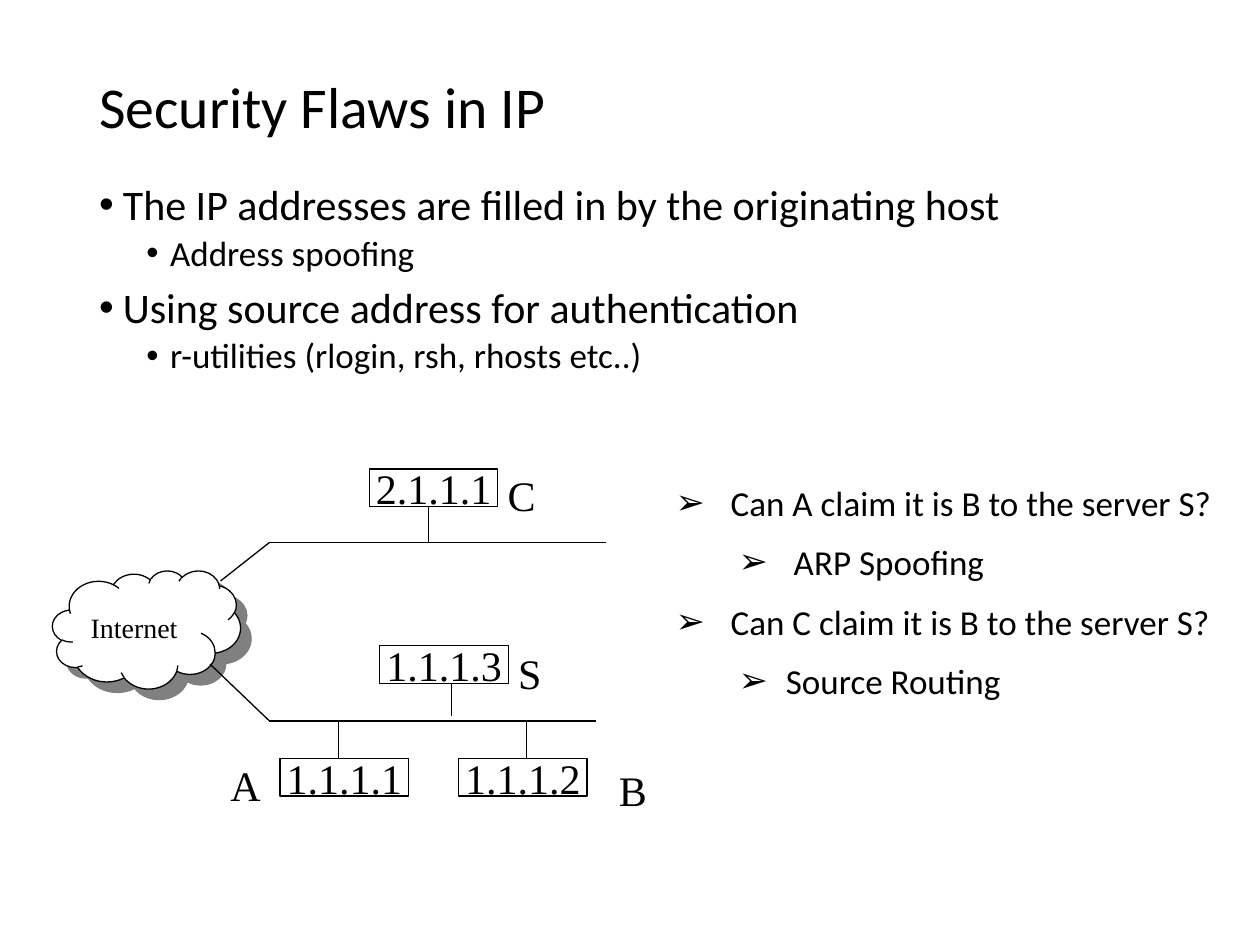
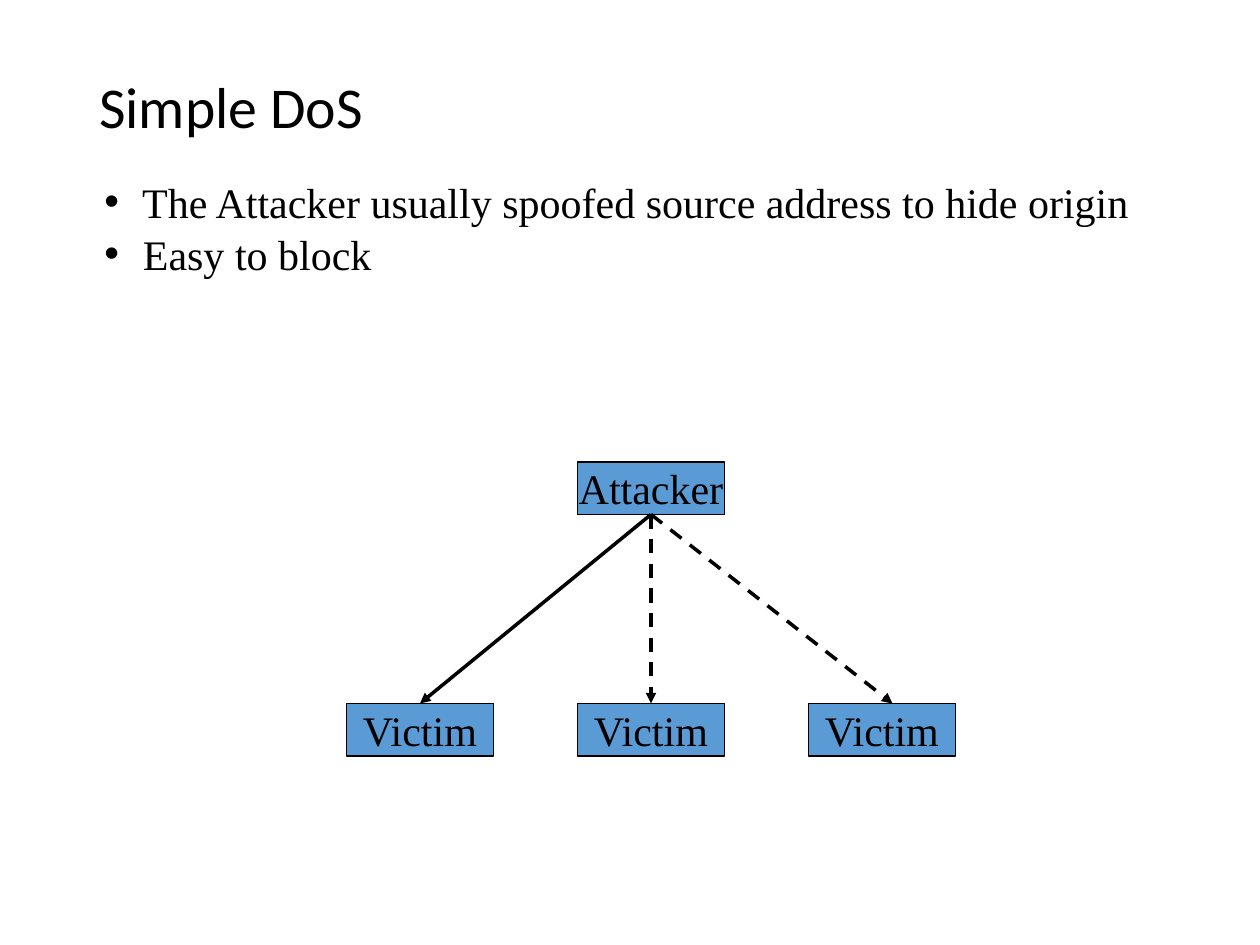
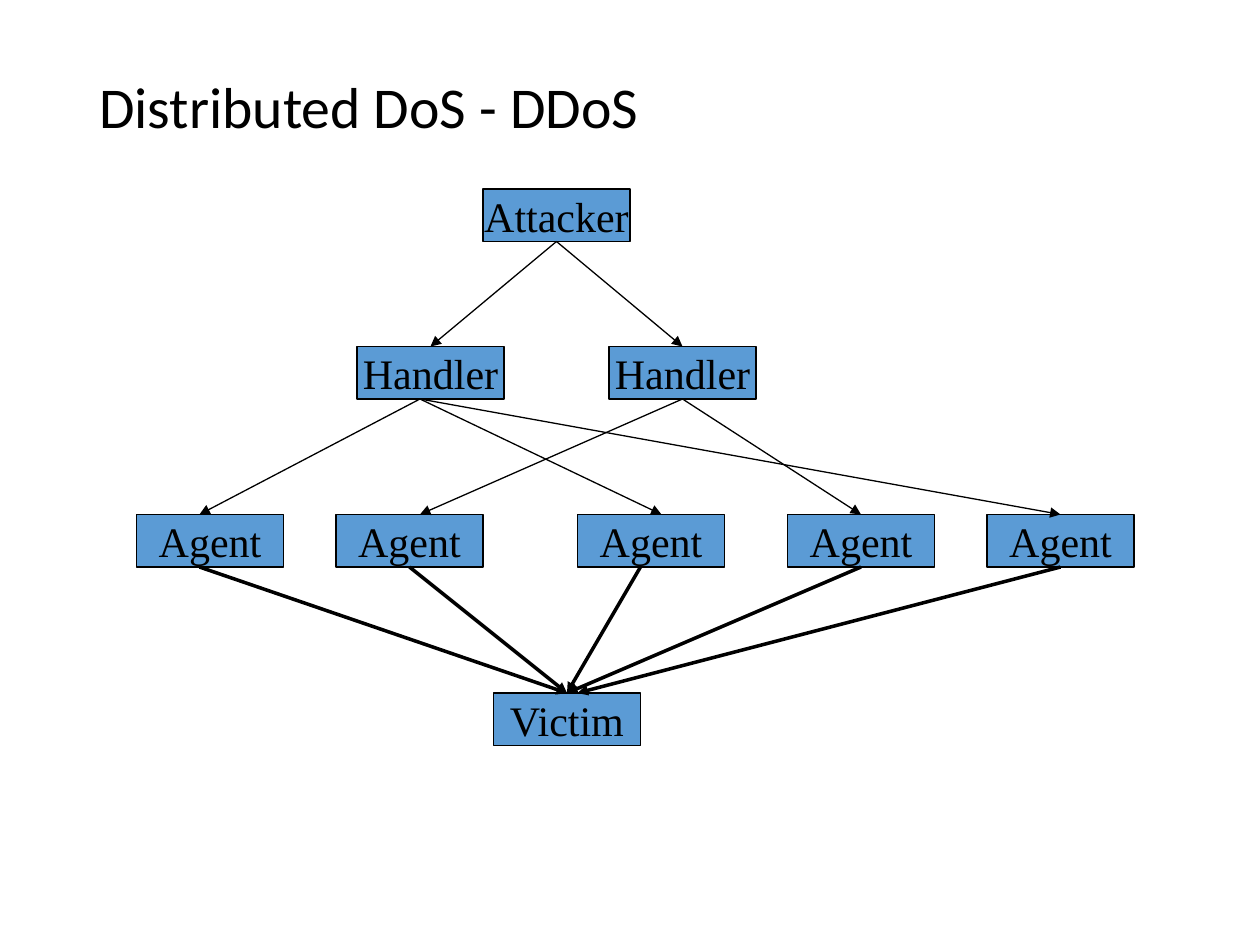
from lxml import etree
from pptx import Presentation
from pptx.dml.color import RGBColor
from pptx.enum.dml import MSO_LINE
from pptx.enum.shapes import MSO_CONNECTOR, MSO_SHAPE
from pptx.enum.text import MSO_ANCHOR, MSO_AUTO_SIZE, PP_ALIGN
from pptx.oxml.ns import qn
from pptx.util import Pt

BLACK = RGBColor(0x00, 0x00, 0x00)
WHITE = RGBColor(0xFF, 0xFF, 0xFF)
BLUE = RGBColor(0x5B, 0x9B, 0xD5)
SHADOW_GREY = RGBColor(0x80, 0x80, 0x80)
SANS, SERIF = "Calibri", "Times New Roman"
DASH = MSO_LINE.DASH
STRAIGHT = MSO_CONNECTOR.STRAIGHT
RECTANGLE, CLOUD = MSO_SHAPE.RECTANGLE, MSO_SHAPE.CLOUD
TOP, MIDDLE = MSO_ANCHOR.TOP, MSO_ANCHOR.MIDDLE
LEFT, CENTER = PP_ALIGN.LEFT, PP_ALIGN.CENTER
FIXED = MSO_AUTO_SIZE.NONE
TITLE_CONTENT, TITLE_ONLY = 1, 5

TITLE_BOX = (49.5, 29, 621, 67)
THIN, THICK = 0.75, 2
NODE_WIDTH, NODE_HEIGHT = 84, 30
HOST_WIDTH, HOST_HEIGHT = 73.5, 21.5

FLAWS = [
    (0, "The IP addresses are filled in by the originating host"),
    (1, "Address spoofing"),
    (0, "Using source address for authentication"),
    (1, "r-utilities (rlogin, rsh, rhosts etc..)"),
]
QUESTIONS = [
    (0, " Can A claim it is B to the server S?"),
    (1, " ARP Spoofing"),
    (0, " Can C claim it is B to the server S?"),
    (1, "Source Routing"),
]
DOS_NOTES = [
    (0, " The Attacker usually spoofed source address to hide origin"),
    (0, " Easy to block"),
]
FLAW_STYLE = {"bullet": "•", "indents": (13.5, 40.5), "hanging": 13.5, "spacing": 0.9,
              "before": (7.5, 3.75), "sizes": (24, 20), "font": SANS}
QUESTION_STYLE = {"bullet": "➢", "indents": (27, 63), "hanging": 27, "spacing": 1.0,
                  "before": (10, 10), "sizes": (20, 20), "font": SANS}
NOTE_STYLE = {"bullet": "•", "indents": (16,), "hanging": 16, "spacing": 1.0,
              "before": (1,), "sizes": (24,), "font": SERIF}

HOSTS = [
    ("2.1.1.1", 181, 3, "C", 253, 0),
    ("1.1.1.3", 187, 104, "S", 259, 101.5),
    ("1.1.1.1", 130, 168.5, "A", 94.5, 165.5),
    ("1.1.1.2", 232, 168.5, "B", 316.5, 168.5),
]
CABLES = [
    (124, 45, 316.5, 45), (124, 147, 310.5, 147),
    (124, 45, 96, 67), (90, 114.5, 124, 147),
    (215, 24, 215, 45), (228, 126, 228, 144),
    (163.5, 147, 163.5, 168.5), (271, 147, 271, 168.5),
]

DOS_TIERS = [(0, "Attacker", [132]), (138, "Victim", [0, 132, 264])]
DOS_LINKS = [(0, 174, 42, THICK, None), (0, 174, 174, THICK, DASH), (0, 174, 312, THICK, DASH)]
DDOS_TIERS = [
    (0, "Attacker", [198]),
    (90, "Handler", [126, 270]),
    (186, "Agent", [0, 114, 252, 372, 486]),
    (288, "Victim", [204]),
]
DDOS_LINKS = [
    (tier, start, end, weight, None)
    for tier, weight, pairs in [
        (0, THIN, [(240, 168), (240, 312)]),
        (1, THIN, [(162, 36), (162, 300), (162, 528), (312, 162), (312, 414)]),
        (2, THICK, [(36, 246), (156, 246), (288, 246), (414, 246), (528, 252)]),
    ]
    for start, end in pairs
]


def apply(target, values):
    """Set attributes of a target from a dict."""
    for name, value in values.items():
        setattr(target, name, value)


def set_font(font, name, size):
    """Give a font its face, size and black colour."""
    apply(font, {"name": name, "size": Pt(size)})
    font.color.rgb = BLACK


def place(shape, box):
    """Move a shape to a box given in points."""
    apply(shape, dict(zip(("left", "top", "width", "height"), map(Pt, box))))


def write(shape, text, size, wrap=False, align=LEFT, anchor=MIDDLE):
    """Write one serif paragraph into a shape."""
    frame = shape.text_frame
    apply(frame, {"word_wrap": wrap, "vertical_anchor": anchor})
    para = frame.paragraphs[0]
    apply(para, {"text": text, "alignment": align})
    set_font(para.font, SERIF, size)


def add_outlined(shapes, kind, box, fill):
    """Add a filled preset shape with a thin black outline."""
    shape = shapes.add_shape(kind, *map(Pt, box))
    shape.shadow.inherit = False
    shape.fill.solid()
    shape.fill.fore_color.rgb = fill
    shape.line.color.rgb = BLACK
    shape.line.width = Pt(THIN)
    return shape


def add_line(shapes, ends, weight=THIN, dash=None, arrow=False):
    """Draw a black straight line, dashed or with an arrowhead if asked."""
    line = shapes.add_connector(STRAIGHT, *map(Pt, ends))
    line.line.color.rgb = BLACK
    apply(line.line, {"width": Pt(weight), "dash_style": dash})
    properties = line._element.spPr
    if arrow:
        etree.SubElement(properties.find(qn("a:ln")), qn("a:tailEnd"), type="triangle")
    etree.SubElement(properties, qn("a:effectLst"))


def fill_list(frame, items, style):
    """Fill a text frame with a bulleted list of levels and texts."""
    apply(frame, {"word_wrap": True, "auto_size": FIXED, "vertical_anchor": TOP})
    for index, (level, text) in enumerate(items):
        para = frame.add_paragraph() if index else frame.paragraphs[0]
        before = style["before"][level] if index else 0
        apply(para, {"text": text, "level": level, "alignment": LEFT,
                     "line_spacing": style["spacing"], "space_before": Pt(before)})
        properties = para._p.get_or_add_pPr()
        properties.set("marL", str(Pt(style["indents"][level])))
        properties.set("indent", str(-Pt(style["hanging"])))
        etree.SubElement(properties, qn("a:buFont"), typeface="Arial")
        etree.SubElement(properties, qn("a:buChar"), char=style["bullet"])
        set_font(para.font, style["font"], style["sizes"][level])


def add_page(deck, layout, title):
    """Add a slide with the shared title style."""
    page = deck.slides.add_slide(deck.slide_layouts[layout])
    place(page.shapes.title, TITLE_BOX)
    frame = page.shapes.title.text_frame
    apply(frame, {"vertical_anchor": MIDDLE, "auto_size": FIXED})
    para = frame.paragraphs[0]
    apply(para, {"text": title, "alignment": LEFT, "line_spacing": 0.9})
    set_font(para.font, SANS, 33)
    return page


def add_body(page, box, items, style):
    """Put a bulleted list into the body placeholder."""
    body = page.placeholders[1]
    place(body, box)
    fill_list(body.text_frame, items, style)


def add_questions(page, box):
    """Add the list of spoofing questions."""
    fill_list(page.shapes.add_textbox(*map(Pt, box)).text_frame, QUESTIONS, QUESTION_STYLE)


def add_cloud(shapes, box):
    """Add the Internet cloud with its solid offset shadow."""
    cloud = add_outlined(shapes, CLOUD, box, WHITE)
    effects = cloud._element.spPr.find(qn("a:effectLst"))
    shadow = etree.SubElement(effects, qn("a:outerShdw"), dist=str(Pt(8.5)),
                              dir="2700000", algn="ctr", rotWithShape="0")
    etree.SubElement(shadow, qn("a:srgbClr"), val=str(SHADOW_GREY))
    write(cloud, "Internet", 16, wrap=True)


def add_network(page, box):
    """Draw the cloud, the two networks and their hosts inside a box."""
    left, top = box[:2]
    shapes = page.shapes
    add_cloud(shapes, (left, top + 61, 107.5, 67.5))
    for x1, y1, x2, y2 in CABLES:
        add_line(shapes, (left + x1, top + y1, left + x2, top + y2))
    for address, x, y, name, name_x, name_y in HOSTS:
        host = add_outlined(shapes, RECTANGLE, (left + x, top + y, HOST_WIDTH, HOST_HEIGHT), WHITE)
        write(host, address, 24, align=CENTER)
        label = shapes.add_textbox(*map(Pt, (left + name_x, top + name_y, 27, 29)))
        write(label, name, 24, anchor=TOP)


def add_tree(page, box, tiers, links):
    """Draw tiers of nodes, each linked to the tier below, inside a box."""
    left, top = box[:2]
    shapes = page.shapes.add_group_shape().shapes
    for y, label, offsets in tiers:
        for x in offsets:
            node = add_outlined(shapes, RECTANGLE, (left + x, top + y, NODE_WIDTH, NODE_HEIGHT), BLUE)
            write(node, label, 24, align=CENTER)
    for tier, start, end, weight, dash in links:
        start_y = top + tiers[tier][0] + NODE_HEIGHT
        end_y = top + tiers[tier + 1][0]
        add_line(shapes, (left + start, start_y, left + end, end_y), weight, dash, arrow=True)


def main():
    """Build the three slides and save the deck."""
    deck = Presentation()
    apply(deck, {"slide_width": Pt(720), "slide_height": Pt(540)})

    flaws = add_page(deck, TITLE_CONTENT, "Security Flaws in IP")
    add_body(flaws, (49.5, 101.5, 621, 372), FLAWS, FLAW_STYLE)
    add_network(flaws, (30, 265, 343, 198))
    add_questions(flaws, (379, 271.5, 332.5, 140))

    dos = add_page(deck, TITLE_CONTENT, "Simple DoS")
    add_body(dos, (52.5, 97, 638, 65), DOS_NOTES, NOTE_STYLE)
    add_tree(dos, (198, 264, 348, 168), DOS_TIERS, DOS_LINKS)

    ddos = add_page(deck, TITLE_ONLY, "Distributed DoS - DDoS")
    add_tree(ddos, (78, 108, 570, 318), DDOS_TIERS, DDOS_LINKS)

    deck.save("out.pptx")


if __name__ == "__main__":
    main()
